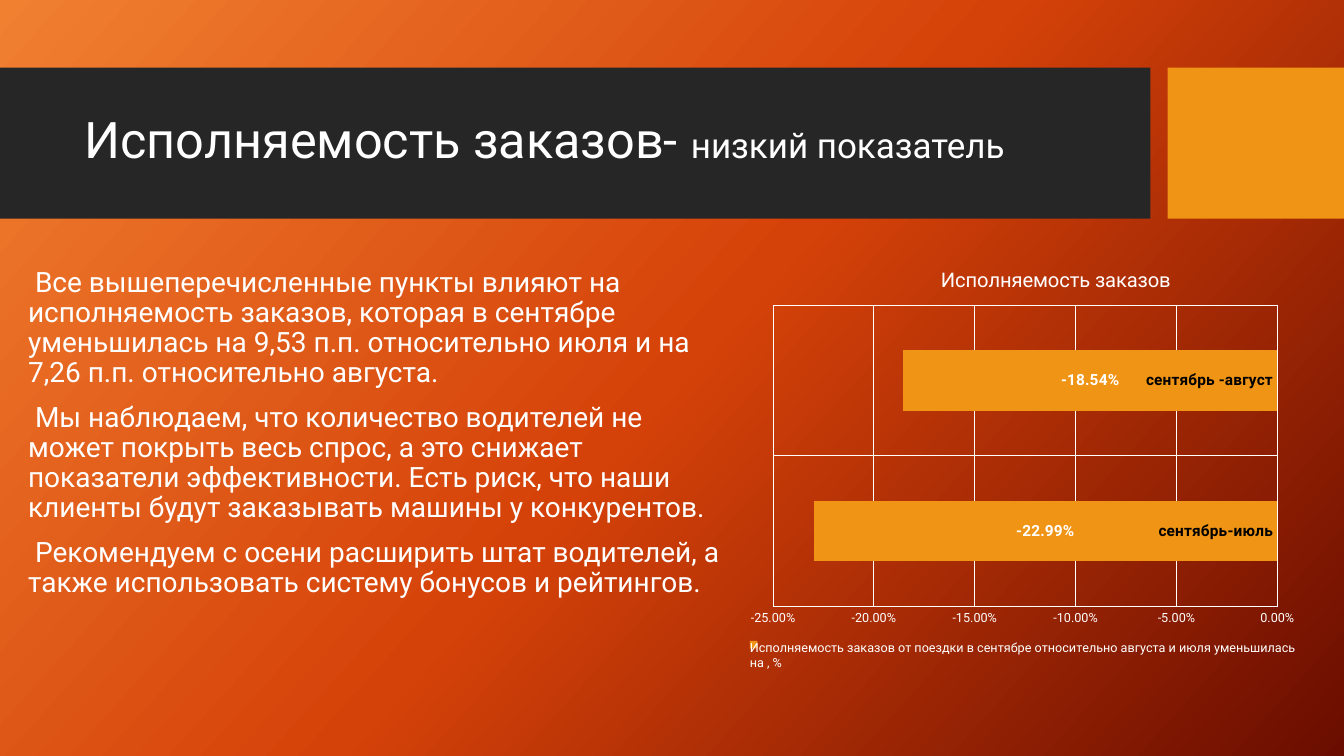
from dataclasses import dataclass

from lxml import etree
from copy import deepcopy
from pptx import Presentation
from pptx.chart.data import CategoryChartData
from pptx.dml.color import RGBColor
from pptx.enum.chart import XL_CHART_TYPE, XL_LABEL_POSITION, XL_LEGEND_POSITION, XL_TICK_MARK
from pptx.enum.shapes import MSO_SHAPE
from pptx.enum.text import MSO_ANCHOR
from pptx.oxml.ns import qn
from pptx.slide import Slide
from pptx.text.text import Font
from pptx.util import Inches, Pt

RECTANGLE = MSO_SHAPE.RECTANGLE
MIDDLE = MSO_ANCHOR.MIDDLE
TOP = MSO_ANCHOR.TOP
BAR_STACKED = XL_CHART_TYPE.BAR_STACKED
LABEL_CENTER = XL_LABEL_POSITION.CENTER
LEGEND_BOTTOM = XL_LEGEND_POSITION.BOTTOM
NO_TICK = XL_TICK_MARK.NONE

WHITE = RGBColor(0xFF, 0xFF, 0xFF)
BLACK = RGBColor(0x00, 0x00, 0x00)
CHARCOAL = RGBColor(0x26, 0x26, 0x26)
AMBER = RGBColor(0xF0, 0x94, 0x15)
BACKGROUND_COLORS = [
    RGBColor(0xF1, 0x80, 0x31),
    RGBColor(0xD5, 0x42, 0x09),
    RGBColor(0x6A, 0x0D, 0x00),
]
FONT_NAME = "Roboto"
PERCENT = "0.00%"


@dataclass(frozen=True)
class Box:
    left: float
    top: float
    width: float
    height: float

    def lengths(self) -> list[int]:
        return [Inches(value) for value in (self.left, self.top, self.width, self.height)]


@dataclass(frozen=True)
class Band:
    box: Box
    color: RGBColor


@dataclass(frozen=True)
class TextRun:
    text: str
    size: float


@dataclass(frozen=True)
class TextBlock:
    box: Box
    anchor: MSO_ANCHOR
    space_before: float
    paragraphs: list[list[TextRun]]


BANDS = [
    Band(Box(0, 0.67, 11.41, 1.5), CHARCOAL),
    Band(Box(11.58, 0.67, 1.75, 1.5), AMBER),
]
BODY = [
    " Все вышеперечисленные пункты влияют на исполняемость заказов, которая в сентябре "
    "уменьшилась на 9,53 п.п. относительно июля и на 7,26 п.п. относительно августа.",
    " Мы наблюдаем, что количество водителей не может покрыть весь спрос, а это снижает "
    "показатели эффективности. Есть риск, что наши клиенты будут заказывать машины у конкурентов.",
    " Рекомендуем с осени расширить штат водителей, а также использовать систему бонусов "
    "и рейтингов.",
]
TEXT_BLOCKS = [
    TextBlock(
        Box(0.74, 0.82, 10.51, 1.18), MIDDLE, 0,
        [[TextRun("Исполняемость заказов- ", 36), TextRun("низкий показатель", 25)]],
    ),
    TextBlock(Box(0.18, 2.61, 7.15, 3.63), TOP, 10, [[TextRun(text, 20)] for text in BODY]),
]
CHART_BOX = Box(7.33, 2.44, 5.62, 4.21)
CHART_TITLE = "Исполняемость заказов"
SERIES_NAME = (
    "Исполняемость заказов от поездки в сентябре относительно августа и июля уменьшилась на , %"
)
CHANGES = {"сентябрь-июль": -0.2299, "сентябрь -август": -0.1854}


def style_font(font: Font, size: float, color: RGBColor = WHITE, bold: bool = False) -> None:
    font.name = FONT_NAME
    font.size = Pt(size)
    font.bold = bold
    font.color.rgb = color


def paint_background(slide: Slide) -> None:
    fill = slide.background.fill
    fill.gradient()
    fill.gradient_angle = 318
    stop_list = slide.element.xpath(".//a:gsLst")[0]
    stop_list.insert(1, deepcopy(stop_list[0]))
    for index, (stop, color) in enumerate(zip(fill.gradient_stops, BACKGROUND_COLORS)):
        stop.position = index / 2
        stop.color.rgb = color


def add_band(slide: Slide, band: Band) -> None:
    shape = slide.shapes.add_shape(RECTANGLE, *band.box.lengths())
    shape.shadow.inherit = False
    shape.fill.solid()
    shape.fill.fore_color.rgb = band.color
    shape.line.fill.background()


def add_text(slide: Slide, block: TextBlock) -> None:
    text_frame = slide.shapes.add_textbox(*block.box.lengths()).text_frame
    text_frame.word_wrap = True
    text_frame.vertical_anchor = block.anchor
    for index, text_runs in enumerate(block.paragraphs):
        paragraph = text_frame.add_paragraph() if index else text_frame.paragraphs[0]
        paragraph.line_spacing = 0.9
        paragraph.space_before = Pt(block.space_before)
        for text_run in text_runs:
            run = paragraph.add_run()
            run.text = text_run.text
            style_font(run.font, text_run.size)


def place(parent: etree._Element, position: int, values: dict[str, str | float]) -> None:
    for existing in parent.findall(qn("c:layout")):
        parent.remove(existing)
    layout = etree.Element(qn("c:layout"))
    manual = etree.SubElement(layout, qn("c:manualLayout"))
    for name, value in values.items():
        etree.SubElement(manual, qn(f"c:{name}")).set("val", str(value))
    parent.insert(position, layout)


def add_change_chart(slide: Slide) -> None:
    data = CategoryChartData(number_format=PERCENT)
    data.categories = list(CHANGES)
    data.add_series(SERIES_NAME, list(CHANGES.values()))
    chart = slide.shapes.add_chart(BAR_STACKED, *CHART_BOX.lengths(), data).chart
    style_font(chart.font, 10)

    chart.has_title = True
    title_frame = chart.chart_title.text_frame
    title_frame.text = CHART_TITLE
    style_font(title_frame.paragraphs[0].runs[0].font, 14.4)
    place(chart.chart_title.element, 1, {"xMode": "edge", "yMode": "edge", "x": 0.35, "y": 0.04})
    place(
        chart.element.xpath(".//c:plotArea")[0], 0,
        {"layoutTarget": "inner", "xMode": "edge", "yMode": "edge",
         "x": 0.06, "y": 0.14, "w": 0.89, "h": 0.71},
    )

    chart.has_legend = True
    chart.legend.position = LEGEND_BOTTOM
    chart.legend.include_in_layout = False
    style_font(chart.legend.font, 9)

    for axis in (chart.category_axis, chart.value_axis):
        axis.major_tick_mark = NO_TICK
        axis.minor_tick_mark = NO_TICK
        axis.has_major_gridlines = True
        for line in (axis.format.line, axis.major_gridlines.format.line):
            line.color.rgb = WHITE
            line.width = Pt(0.75)
    style_font(chart.category_axis.tick_labels.font, 11, BLACK, True)

    value_axis = chart.value_axis
    value_axis.format.line.fill.background()
    value_axis.minimum_scale = -0.25
    value_axis.maximum_scale = 0
    value_axis.major_unit = 0.05
    value_axis.tick_labels.number_format = PERCENT
    value_axis.tick_labels.number_format_is_linked = False
    style_font(value_axis.tick_labels.font, 9)

    plot = chart.plots[0]
    plot.vary_by_categories = False
    plot.gap_width = 150
    plot.overlap = 100
    series = plot.series[0]
    series.invert_if_negative = False
    series.format.fill.solid()
    series.format.fill.fore_color.rgb = AMBER
    labels = series.data_labels
    labels.show_value = True
    labels.position = LABEL_CENTER
    labels.number_format = PERCENT
    labels.number_format_is_linked = False
    style_font(labels.font, 11, WHITE, True)


def main() -> None:
    presentation = Presentation()
    presentation.slide_width = Inches(13.33)
    presentation.slide_height = Inches(7.5)
    slide = presentation.slides.add_slide(presentation.slide_layouts[6])
    paint_background(slide)
    for band in BANDS:
        add_band(slide, band)
    for block in TEXT_BLOCKS:
        add_text(slide, block)
    add_change_chart(slide)
    presentation.save("out.pptx")


if __name__ == "__main__":
    main()
